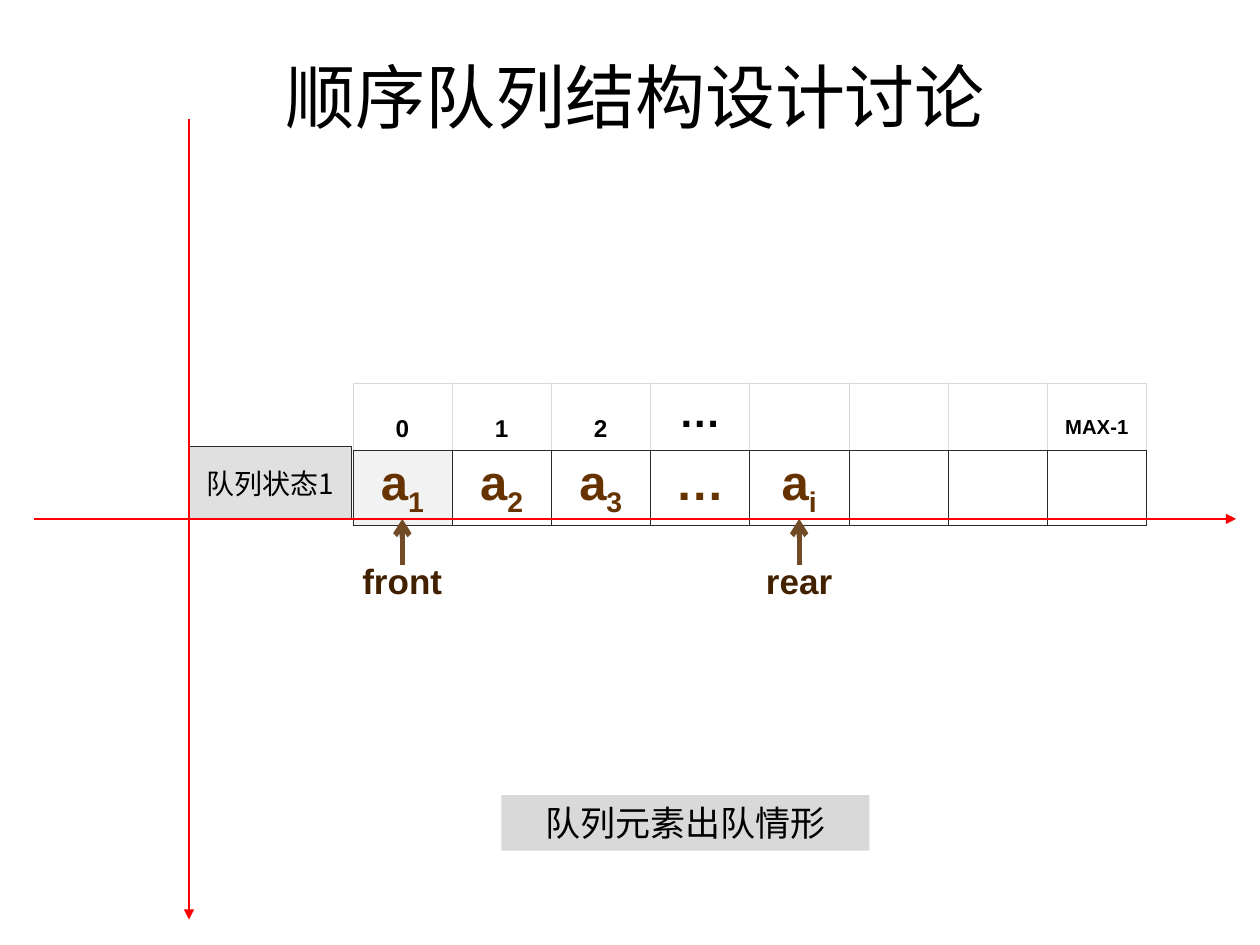
from lxml import etree
from pptx import Presentation
from pptx import util as u
from pptx.dml.color import RGBColor
from pptx.enum import shapes, text
from pptx.oxml import ns

Cm = u.Cm
CJK = "Noto Sans CJK SC"
INK, BORDER, PALE = "000000", "292929", "D9D9D9"
RED, BROWN, ELEMENT, POINTER = "FF0000", "714B25", "663300", "422100"
COLUMN = 2.0
INDEXES = ["0", "1", "2", "…", "", "", "", "MAX-1"]
ELEMENTS = [("a", "1"), ("a", "2"), ("a", "3"), ("…", ""), ("a", "i")] + [("", "")] * 3


def rgb(value):
    return RGBColor.from_string(value)


def write(frame, content, sub="", size=20, font="Arial", color=INK, bold=False,
          anchor=text.MSO_ANCHOR.TOP, wrap=True):
    """Write one centred line; sub follows the content as a subscript."""
    frame.word_wrap = wrap
    frame.vertical_anchor = anchor
    line = frame.paragraphs[0]
    line.alignment = text.PP_ALIGN.CENTER
    for part, baseline in ((content, 0), (sub, -25000)):
        if not part:
            continue
        run = line.add_run()
        run.text = part
        run.font.size, run.font.bold, run.font.name = u.Pt(size), bold, font
        run.font.color.rgb = rgb(color)
        properties = run._r.get_or_add_rPr()
        etree.SubElement(properties, ns.qn("a:ea"), typeface=CJK)
        if baseline:
            properties.set("baseline", str(baseline))


def add_box(slide, box, fill, border=None):
    panel = slide.shapes.add_shape(shapes.MSO_SHAPE.RECTANGLE, *map(Cm, box))
    panel.shadow.inherit = False
    panel.fill.solid()
    panel.fill.fore_color.rgb = rgb(fill)
    if border:
        panel.line.color.rgb = rgb(border)
        panel.line.width = u.Pt(0.5)
    else:
        panel.line.fill.background()
    return panel.text_frame


def add_arrow(slide, start, end, color, width, head):
    """Draw a line whose arrowhead of the given type is at its end."""
    arrow = slide.shapes.add_connector(
        shapes.MSO_CONNECTOR.STRAIGHT, *map(Cm, (*start, *end)))
    arrow.line.color.rgb = rgb(color)
    arrow.line.width = u.Pt(width)
    etree.SubElement(arrow.line._get_or_add_ln(), ns.qn("a:tailEnd"), type=head)
    etree.SubElement(arrow._element.spPr, ns.qn("a:effectLst"))


def set_borders(cell, **colors):
    properties = cell._tc.get_or_add_tcPr()
    for position, side in enumerate("LRTB"):
        edge = etree.Element(ns.qn(f"a:ln{side}"), w=str(u.Pt(0.25)))
        fill = etree.SubElement(edge, ns.qn("a:solidFill"))
        etree.SubElement(fill, ns.qn("a:srgbClr"), val=colors.get(side, colors["rest"]))
        properties.insert(position, edge)


def add_queue(slide, left, top, index_height, element_height):
    """Place the indexes above the stored elements."""
    count = len(INDEXES)
    queue = slide.shapes.add_table(
        2, count, Cm(left), Cm(top), Cm(COLUMN * count),
        Cm(index_height + element_height)).table
    queue.first_row = queue.horz_banding = False
    for row, height in zip(queue.rows, (index_height, element_height)):
        row.height = Cm(height)
    fills = {0: "F2F2F2", 4: "FFFFFF"}
    for i, (index, (element, sub)) in enumerate(zip(INDEXES, ELEMENTS)):
        queue.columns[i].width = Cm(COLUMN)
        header, slot = queue.cell(0, i), queue.cell(1, i)
        header.fill.background()
        if i in fills:
            slot.fill.solid()
            slot.fill.fore_color.rgb = rgb(fills[i])
        else:
            slot.fill.background()
        set_borders(header, rest=PALE, B=BORDER)
        set_borders(slot, rest=BORDER)
        lowered = index.isdigit() or index == "MAX-1"
        write(header.text_frame, "" if lowered else index, sub=index if lowered else "",
              size=20 if index == "MAX-1" else 24, bold=True)
        write(slot.text_frame, element, sub=sub, size=28, color=ELEMENT, bold=True)
    queue.cell(0, count - 1).vertical_anchor = text.MSO_ANCHOR.MIDDLE


def add_pointer(slide, label, center, tip):
    width = 2.6
    name = slide.shapes.add_textbox(
        Cm(center - width / 2), Cm(tip + 0.69), Cm(width), Cm(1.09))
    write(name.text_frame, label, color=POINTER, bold=True)
    add_arrow(slide, (center, tip + 0.92), (center, tip), BROWN, 3, "arrow")


def add_state(slide, left, top, right, bottom):
    queue_left, row_line = 7.11, 10.46
    add_queue(slide, queue_left, 7.72, 1.35, 1.4)
    for label, column in (("front", 0), ("rear", 4)):
        add_pointer(slide, label, queue_left + (column + 0.5) * COLUMN, row_line)
    axis = 3.81
    state = add_box(slide, (axis, row_line - 1.45, 3.28, 1.45), "E0E0E0", BORDER)
    write(state, "队列状态1", size=16, font=CJK, anchor=text.MSO_ANCHOR.MIDDLE, wrap=False)
    add_arrow(slide, (axis, top), (axis, bottom), RED, 0.75, "triangle")
    add_arrow(slide, (left, row_line), (right, row_line), RED, 0.75, "triangle")


def add_title(slide, left, top, width, height):
    title = slide.shapes.title
    title.left, title.top, title.width, title.height = map(Cm, (left, top, width, height))
    write(title.text_frame, "顺序队列结构设计讨论", size=40, font="Courier New",
          anchor=text.MSO_ANCHOR.MIDDLE)


def main():
    deck = Presentation()
    deck.slide_width, deck.slide_height = Cm(25.4), Cm(19.05)
    slide = deck.slides.add_slide(deck.slide_layouts[5])
    add_title(slide, 0.69, 0.94, 24.23, 1.96)
    add_state(slide, 0.69, 2.39, 24.92, 18.54)
    caption = add_box(slide, (10.11, 16.03, 7.42, 1.12), PALE)
    write(caption, "队列元素出队情形", font=CJK, anchor=text.MSO_ANCHOR.MIDDLE)
    deck.save("out.pptx")


if __name__ == "__main__":
    main()
